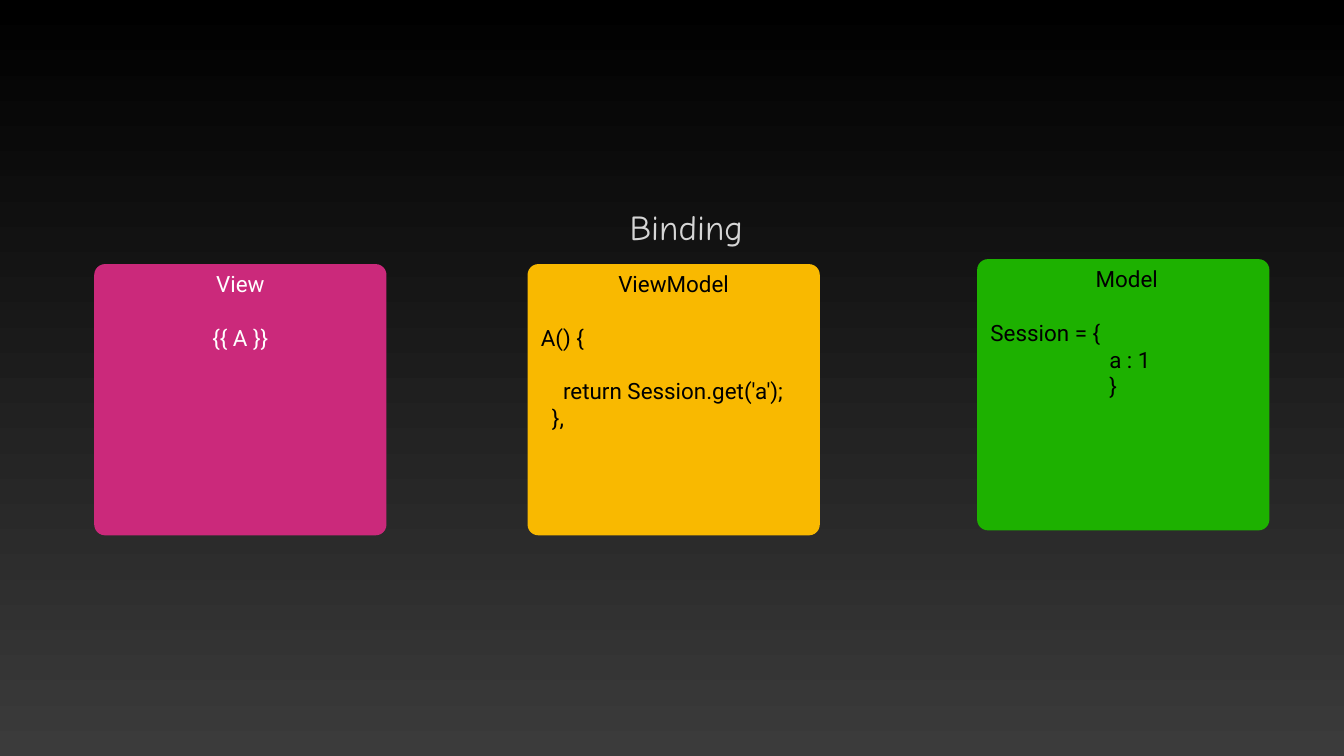
from pptx import Presentation
from pptx.dml.color import RGBColor
from pptx.enum.shapes import MSO_SHAPE
from pptx.enum.text import MSO_ANCHOR, MSO_AUTO_SIZE, PP_ALIGN
from pptx.util import Cm, Pt

ROUNDED = MSO_SHAPE.ROUNDED_RECTANGLE
TOP, MIDDLE = MSO_ANCHOR.TOP, MSO_ANCHOR.MIDDLE
LEFT, CENTER = PP_ALIGN.LEFT, PP_ALIGN.CENTER
COLORS = {
    "top": "000000", "bottom": "3B3B3B", "title": "D5D5D5",
    "view": "CB297B", "view_model": "F9B900", "model": "1DB100",
    "light": "FFFFFF", "dark": "000000",
}
CARD_WIDTH, CARD_HEIGHT = 14.73, 13.67
BLANK_LINE = 38
CODE_INDENT, DEEP_INDENT = 0.36, 6.35

CARDS = [
    (4.75, 13.31, "view", "light", [
        ("View", CENTER, 0, 0),
        ("{{ A }}", CENTER, 0, BLANK_LINE),
    ]),
    (26.59, 13.31, "view_model", "dark", [
        ("ViewModel", CENTER, 0, 0),
        ("A() {", LEFT, CODE_INDENT, BLANK_LINE),
        ("    return Session.get('a');", LEFT, CODE_INDENT, BLANK_LINE),
        ("  },", LEFT, CODE_INDENT, 0),
    ]),
    (49.25, 13.06, "model", "dark", [
        ("Model", CENTER, CODE_INDENT, 0),
        ("Session = {", LEFT, CODE_INDENT, BLANK_LINE),
        ("a : 1", LEFT, DEEP_INDENT, 0),
        ("}", LEFT, DEEP_INDENT, 0),
    ]),
]


def rgb(name):
    """Return the named palette colour."""
    return RGBColor.from_string(COLORS[name])


def set_background(page):
    """Fill the page with a gradient running from top to bottom."""
    fill = page.background.fill
    fill.gradient()
    fill.gradient_angle = 270
    for stop, name in zip(fill.gradient_stops, ("top", "bottom")):
        stop.color.rgb = rgb(name)


def format_frame(frame, anchor):
    """Set the margins, wrapping and anchor of a text frame."""
    frame.margin_left = frame.margin_right = Cm(0.15)
    frame.margin_top = frame.margin_bottom = Cm(0.15)
    frame.word_wrap = True
    frame.auto_size = MSO_AUTO_SIZE.NONE
    frame.vertical_anchor = anchor


def format_font(para, name, size, color):
    """Set the font of a whole paragraph."""
    para.font.name = name
    para.font.size = Pt(size)
    para.font.color.rgb = rgb(color)


def place_title(page, left, top, width, height):
    """Place the slide title in the given box."""
    title = page.shapes.title
    title.left, title.top = Cm(left), Cm(top)
    title.width, title.height = Cm(width), Cm(height)
    format_frame(title.text_frame, MIDDLE)
    para = title.text_frame.paragraphs[0]
    para.text = "Binding"
    para.alignment = CENTER
    format_font(para, "Comic Neue", 50, "title")


def add_card(page, left, top, width, height, fill, color, lines):
    """Add a rounded card holding a heading and its code lines."""
    card = page.shapes.add_shape(ROUNDED, Cm(left), Cm(top), Cm(width), Cm(height))
    card.adjustments[0] = 0.04
    card.shadow.inherit = False
    card.fill.solid()
    card.fill.fore_color.rgb = rgb(fill)
    card.line.fill.background()
    frame = card.text_frame
    format_frame(frame, TOP)
    for index, (text, alignment, indent, space) in enumerate(lines):
        para = frame.add_paragraph() if index else frame.paragraphs[0]
        para.text = text
        para.alignment = alignment
        para.space_before = Pt(space)
        properties = para._p.get_or_add_pPr()
        properties.set("marL", "0")
        properties.set("indent", str(Cm(indent)))
        format_font(para, "Roboto", 32, color)


def main():
    """Build the binding slide and save it."""
    deck = Presentation()
    deck.slide_width, deck.slide_height = Cm(67.74), Cm(38.1)
    page = deck.slides.add_slide(deck.slide_layouts.get_by_name("Title Only"))
    set_background(page)
    for left, top, fill, color, lines in CARDS:
        add_card(page, left, top, CARD_WIDTH, CARD_HEIGHT, fill, color, lines)
    place_title(page, 27.2, 10.49, 14.78, 1.85)
    deck.save("out.pptx")


if __name__ == "__main__":
    main()
